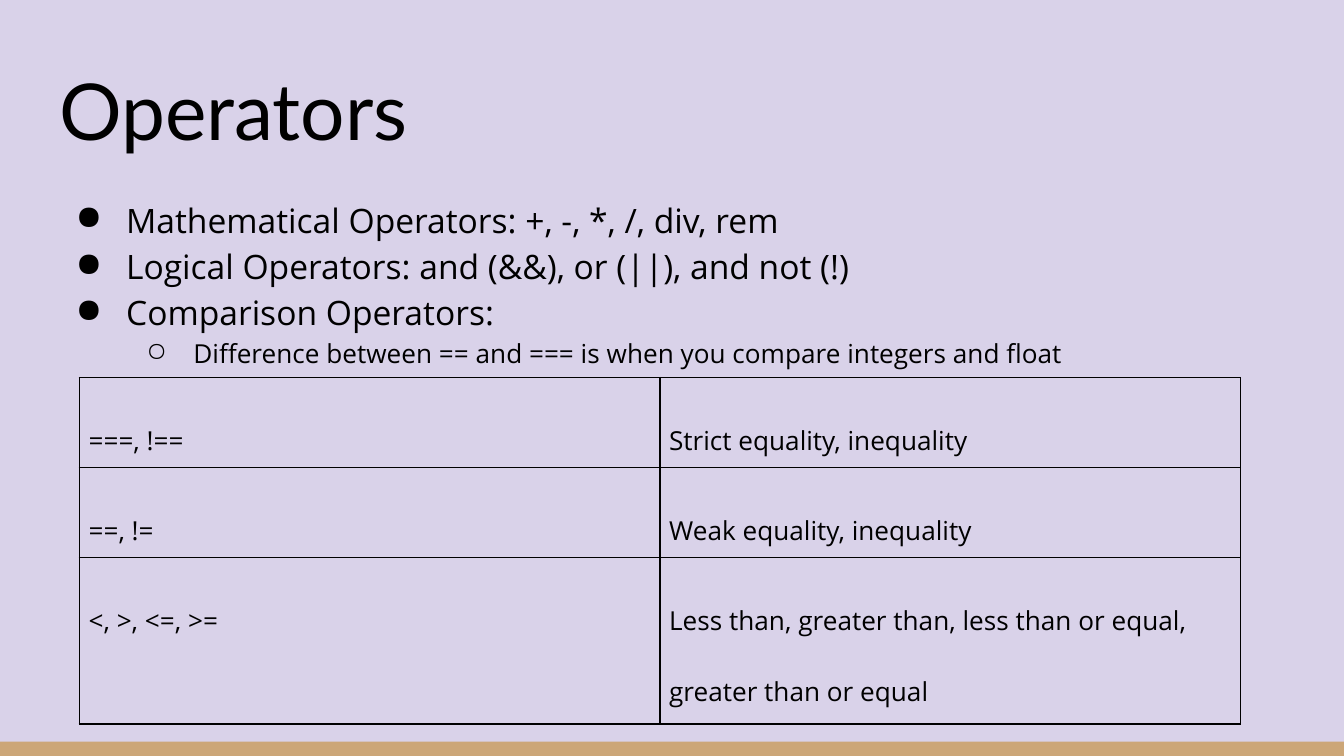
from lxml.etree import SubElement
from pptx import Presentation
from pptx.dml.color import RGBColor
from pptx.enum.shapes import MSO_SHAPE
from pptx.enum.text import MSO_ANCHOR, MSO_AUTO_SIZE, PP_ALIGN
from pptx.oxml.ns import qn
from pptx.util import Pt

LAVENDER = RGBColor(0xD9, 0xD2, 0xE9)
TAN = RGBColor(0xCC, 0xA6, 0x77)
BLACK = RGBColor(0, 0, 0)

WIDTH, HEIGHT = 720, 405
FRAME = dict(word_wrap=True, auto_size=MSO_AUTO_SIZE.NONE, margin_left=Pt(7.2),
             margin_right=Pt(7.2), margin_top=Pt(7.2), margin_bottom=Pt(7.2))

# level: (bullet, left margin, hanging indent, text size)
LEVELS = {0: ("●", 36, 27, 18), 1: ("○", 72, 25.2, 14)}
BULLETS = [
    (0, "Mathematical Operators: +, -, *, /, div, rem"),
    (0, "Logical Operators: and (&&), or (||), and not (!)"),
    (0, "Comparison Operators:"),
    (1, "Difference between == and === is when you compare integers and float"),
]
COMPARISONS = [
    ("===, !==", "Strict equality, inequality"),
    ("==, !=", "Weak equality, inequality"),
    ("<, >, <=, >=",
     "Less than, greater than, less than or equal, greater than or equal"),
]
ROW_HEIGHTS = [41, 41, 89.3]


def set_all(obj, values):
    for name, value in values.items():
        setattr(obj, name, value)


def write(p, text, size, font="Open Sans", **paragraph_format):
    set_all(p, paragraph_format)
    r = p.add_run()
    r.text = text
    set_all(r.font, dict(size=Pt(size), name=font))
    r.font.color.rgb = BLACK


def add_footer_strip(s, x, y, w, h):
    sp = s.shapes.add_shape(MSO_SHAPE.RECTANGLE, Pt(x), Pt(y), Pt(w), Pt(h))
    sp.shadow.inherit = False
    sp.fill.solid()
    sp.fill.fore_color.rgb = TAN
    sp.line.fill.background()


def place_title(s, text, x, y, w, h):
    sp = s.shapes.title
    set_all(sp, dict(left=Pt(x), top=Pt(y), width=Pt(w), height=Pt(h)))
    tf = sp.text_frame
    set_all(tf, FRAME)
    tf.vertical_anchor = MSO_ANCHOR.BOTTOM
    write(tf.paragraphs[0], text, 42, "Lato", alignment=PP_ALIGN.LEFT)


def add_bullets(s, items, x, y, w, h):
    tf = s.shapes.add_textbox(Pt(x), Pt(y), Pt(w), Pt(h)).text_frame
    set_all(tf, FRAME)
    for i, (level, text) in enumerate(items):
        p = tf.add_paragraph() if i else tf.paragraphs[0]
        char, margin, hanging, size = LEVELS[level]
        write(p, text, size, level=level, line_spacing=1.15)
        pPr = p._p.get_or_add_pPr()
        pPr.set("marL", str(Pt(margin)))
        pPr.set("indent", str(-Pt(hanging)))
        SubElement(pPr, qn("a:buChar"), char=char)


def add_borders(cell):
    tcPr = cell._tc.get_or_add_tcPr()
    for i, side in enumerate(("lnL", "lnR", "lnT", "lnB")):
        ln = tcPr.makeelement(qn(f"a:{side}"), {"w": str(Pt(1))})
        fill = SubElement(ln, qn("a:solidFill"))
        SubElement(fill, qn("a:srgbClr"), val=str(BLACK))
        tcPr.insert(i, ln)


def add_comparison_table(s, rows, x, y, w, h):
    columns = len(rows[0])
    table = s.shapes.add_table(len(rows), columns, Pt(x), Pt(y), Pt(w), Pt(h)).table
    set_all(table, dict(first_row=False, horz_banding=False))
    for column in table.columns:
        column.width = Pt(w / columns)
    for i, texts in enumerate(rows):
        table.rows[i].height = Pt(ROW_HEIGHTS[i])
        for j, text in enumerate(texts):
            cell = table.cell(i, j)
            set_all(cell, dict(margin_left=Pt(5), margin_right=Pt(5),
                               margin_top=Pt(5), margin_bottom=Pt(5)))
            cell.fill.background()
            write(cell.text_frame.paragraphs[0], text, 14, line_spacing=2.0)
            add_borders(cell)


def main():
    prs = Presentation()
    set_all(prs, dict(slide_width=Pt(WIDTH), slide_height=Pt(HEIGHT)))
    s = prs.slides.add_slide(prs.slide_layouts[5])
    s.background.fill.solid()
    s.background.fill.fore_color.rgb = LAVENDER
    add_footer_strip(s, 0, HEIGHT - 7.7, WIDTH, 7.7)
    place_title(s, "Operators", 24.5, 25.2, 671, 65.5)
    add_bullets(s, BULLETS, 24.5, 96.5, 671, 264)
    add_comparison_table(s, COMPARISONS, 42.5, 202.3, 622, sum(ROW_HEIGHTS))
    prs.save("out.pptx")


if __name__ == "__main__":
    main()
